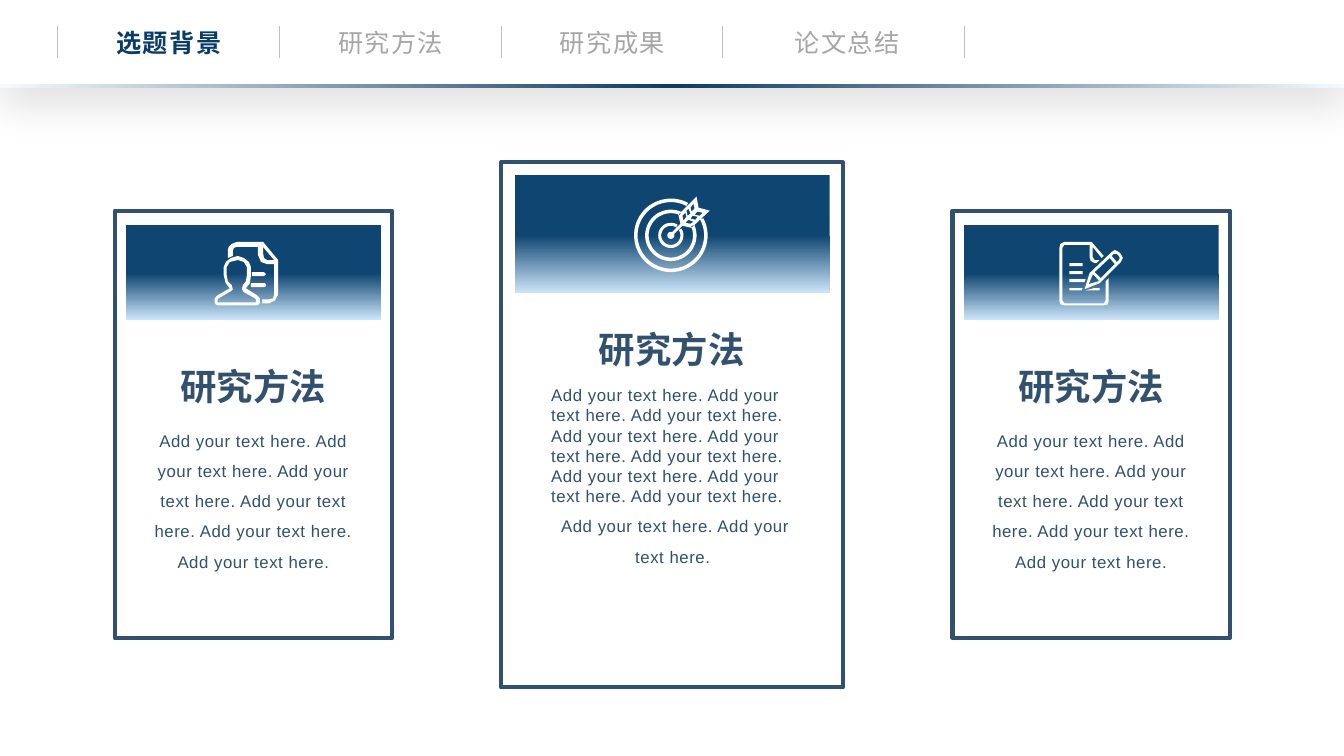
from copy import deepcopy
from dataclasses import dataclass
from math import cos, radians, sin
from typing import NamedTuple

from lxml import etree
from pptx import Presentation
from pptx.dml.color import RGBColor
from pptx.enum.shapes import MSO_CONNECTOR, MSO_SHAPE
from pptx.enum.text import MSO_ANCHOR, MSO_AUTO_SIZE, PP_ALIGN
from pptx.oxml.ns import qn
from pptx.util import Inches, Pt

RECTANGLE = MSO_SHAPE.RECTANGLE
STRAIGHT = MSO_CONNECTOR.STRAIGHT
TOP = MSO_ANCHOR.TOP
GROW = MSO_AUTO_SIZE.SHAPE_TO_FIT_TEXT
LEFT, CENTER = PP_ALIGN.LEFT, PP_ALIGN.CENTER

COLUMNS, ROWS = 133.33, 75
CELL = Inches(0.1)
ICON_DETAIL = 10
ICON_SCALE = CELL / 10 / ICON_DETAIL
FONT = "Arial"
SLATE, NAVY, WHITE, GRAY, SILVER = "31516E", "0A3C69", "FFFFFF", "A6A6A6", "BFBFBF"
BANNER_STOPS = [(0.51, "0F4571"), (1, "C9E3F8")]
RULE_STOPS = [(0, "F7FAFD"), (0.5, "0D3B61"), (1, "F4FAFF")]
SENTENCE = "Add your text here. "

Contour = list[tuple[float, float]]


class Box(NamedTuple):
    left: float
    top: float
    width: float
    height: float

    def shifted(self, columns: float) -> "Box":
        return self._replace(left=self.left + columns)

    def lengths(self) -> list[int]:
        return [round(value * CELL) for value in self]


class Paragraph(NamedTuple):
    text: str
    align: PP_ALIGN = CENTER
    spacing: float | None = None


class Icon(NamedTuple):
    left: float
    top: float
    contours: list[Contour]


class Tab(NamedTuple):
    text: str
    left: float


@dataclass
class Layout:
    frame: Box
    banner: Box
    heading: Box
    body: Box


@dataclass
class Card:
    left: float
    layout: Layout
    paragraphs: list[Paragraph]
    icon: Icon


def outlines(*rows: str) -> list[Contour]:
    return [[tuple(map(float, pair.split(","))) for pair in row.split()] for row in rows]


def arc(radius: float, start: float, end: float) -> Contour:
    angles = [radians(start + (end - start) * step / 60) for step in range(61)]
    return [(36.5 + radius * cos(angle), 38.5 + radius * sin(angle)) for angle in angles]


def ring(outer: float, inner: float, gap: float) -> Contour:
    start, end = gap - 45, 315 - gap
    return arc(outer, start, end) + arc(inner, end, start)


PERSON = Icon(9.9, 24, outlines(
    "36,41 50,41 51,43 50,45 36,45",
    "37,30 49,30 51,32 49,34 37,34",
    "48,0 22,0 17,2 14,5 13,8 13,16 18,14 18,9 19,6 22,5 43,5 43,13 46,20 52,22 59,22 59,52"
    " 58,56 54,57 47,57 47,61 54,61 60,58 63,52 63,18",
    "52,18 49,16 48,11 48,5 59,18",
    "42,53 31,46 35,41 36,33 36,25 34,20 29,16 23,14 16,16 11,20 9,25 9,33 11,41 15,46 3,53"
    " 0,56 0,60 1,62 3,63 42,63 44,62 45,60 45,56",
    "3,60 3,57 4,56 16,49 18,47 17,43 13,39 12,33 12,25 15,20 23,18 29,20 32,25 32,33 31,39"
    " 28,43 27,47 29,50 40,56 41,57 41,60"))

NOTE = Icon(10.6, 24, outlines(
    "33,5 33,15 35,18 40,18 37,21 35,21 31,19 30,15 30,3 5,3 3,6 3,58 5,61 44,61 46,58 46,39"
    " 49,36 49,58 48,62 44,63 5,63 1,62 0,58 0,6 1,2 5,0 32,0 44,14 42,16",
    "61,20 40,41 25,47 30,31 52,10 55,8 59,10 61,12 63,16",
    "29,42 39,39 39,38 33,32 33,33",
    "35,30 41,36 55,22 50,16",
    "59,14 57,12 54,12 52,14 57,20 59,18 60,16",
    "10,21 23,21 23,24 10,24",
    "10,29 23,29 23,32 10,32",
    "10,37 26,37 25,40 10,40",
    "10,46 23,46 22,48 10,48",
    "40,46 40,48 26,48 34,46"))

TARGET = Icon(13.2, 19.5, [
    ring(36.5, 33, 17), ring(25.5, 22, 21), ring(12.5, 9.5, 12), arc(3.5, 0, 360),
    *outlines(
        "75,14 57,31 48,29 40,37 38,35 46,27 44,18 62,0 64,11",
        "53,19 52,14 54,12 56,17",
        "51,16 52,20 49,24 48,19",
        "59,25 56,27 51,26 54,23",
        "61,23 56,22 58,19 63,20",
        "65,19 60,18 63,15 68,16",
        "60,12 57,15 56,11 59,7")])

SIDE = Layout(Box(0, 20.9, 27.5, 42.4), Box(1.1, 22.3, 25.3, 9.4),
              Box(1.2, 35.6, 25.1, 5.4), Box(1.9, 41.2, 23.7, 16.2))
MIDDLE = Layout(Box(0, 16.1, 33.9, 52.1), Box(1.4, 17.4, 31.2, 11.6),
                Box(4.4, 32, 25.1, 5.4), Box(4, 37.7, 26.6, 25.2))
SIDE_TEXT = [Paragraph((SENTENCE * 6).strip(), CENTER, 1.5)]
MIDDLE_TEXT = [Paragraph((SENTENCE * 9).strip(), LEFT), Paragraph(SENTENCE * 2, CENTER, 1.5)]
CARDS = [Card(11.4, SIDE, SIDE_TEXT, PERSON),
         Card(94.5, SIDE, SIDE_TEXT, NOTE),
         Card(49.7, MIDDLE, MIDDLE_TEXT, TARGET)]
ACTIVE_TAB = Tab("选题背景", 10.4)
OTHER_TABS = [Tab("研究方法", 32.4), Tab("研究成果", 54.4), Tab("论文总结", 77.7)]
DIVIDERS = [5.7 + 22 * index for index in range(4)] + [95.7]


def color(value: str) -> RGBColor:
    return RGBColor.from_string(value)


def write(shape, paragraphs: list[Paragraph], *, size: float, ink: str,
          bold: bool = False, tracking: float = 0, wrap: bool = True) -> None:
    frame = shape.text_frame
    frame.word_wrap, frame.auto_size, frame.vertical_anchor = wrap, GROW, TOP
    for index, paragraph in enumerate(paragraphs):
        para = frame.add_paragraph() if index else frame.paragraphs[0]
        para.alignment = paragraph.align
        if paragraph.spacing:
            para.line_spacing = paragraph.spacing
        span = para.add_run()
        span.text = paragraph.text
        span.font.name, span.font.size, span.font.bold = FONT, Pt(size), bold
        span.font.color.rgb = color(ink)
        span._r.get_or_add_rPr().set("spc", str(round(tracking * 100)))


def add_rectangle(page, box: Box, *, fill: str | None = None, line: str | None = None,
                  stops: list[tuple[float, str]] | None = None, angle: float = 0):
    shape = page.shapes.add_shape(RECTANGLE, *box.lengths())
    shape.shadow.inherit = False
    if stops:
        shape.fill.gradient()
        shape.fill.gradient_angle = angle
        stop_list = shape.element.spPr.find(".//" + qn("a:gsLst"))
        for _ in stops[2:]:
            stop_list.append(deepcopy(stop_list[-1]))
        for stop, (position, value) in zip(shape.fill.gradient_stops, stops):
            stop.position, stop.color.rgb = position, color(value)
    elif fill:
        shape.fill.solid()
        shape.fill.fore_color.rgb = color(fill)
    else:
        shape.fill.background()
    if line:
        shape.line.color.rgb, shape.line.width = color(line), Pt(3)
    else:
        shape.line.fill.background()
    return shape


def add_icon(page, icon: Icon, column: float) -> None:
    builder = None
    for contour in icon.contours:
        start, *rest = [(x * ICON_DETAIL, y * ICON_DETAIL) for x, y in contour]
        if builder is None:
            builder = page.shapes.build_freeform(*start, scale=ICON_SCALE)
        else:
            builder.move_to(*start)
        builder.add_line_segments(rest, close=True)
    shape = builder.convert_to_shape(round((column + icon.left) * CELL), round(icon.top * CELL))
    shape.shadow.inherit = False
    shape.fill.solid()
    shape.fill.fore_color.rgb = color(WHITE)
    shape.line.fill.background()


def add_card(page, card: Card) -> None:
    layout = card.layout
    add_rectangle(page, layout.banner.shifted(card.left), stops=BANNER_STOPS, angle=270)
    add_rectangle(page, layout.frame.shifted(card.left), line=SLATE)
    heading = page.shapes.add_textbox(*layout.heading.shifted(card.left).lengths())
    write(heading, [Paragraph("研究方法")], size=26, ink=SLATE, bold=True)
    body = page.shapes.add_textbox(*layout.body.shifted(card.left).lengths())
    write(body, card.paragraphs, size=12, ink=SLATE, tracking=0.4)
    add_icon(page, card.icon, card.left)


def add_header(page) -> None:
    bar = add_rectangle(page, Box(0, -0.1, COLUMNS, 8.7), fill=WHITE)
    effects = bar.element.spPr.find(qn("a:effectLst"))
    shadow = etree.SubElement(effects, qn("a:outerShdw"), blurRad=str(Pt(28)), dist=str(Pt(15)),
                              dir="5400000", algn="t", rotWithShape="0")
    tint = etree.SubElement(shadow, qn("a:srgbClr"), val="000000")
    etree.SubElement(tint, qn("a:alpha"), val="11000")
    for column in DIVIDERS:
        x = round(column * CELL)
        divider = page.shapes.add_connector(STRAIGHT, x, round(2.6 * CELL), x, round(5.8 * CELL))
        divider.line.color.rgb, divider.line.width = color(SILVER), Pt(0.5)
        etree.SubElement(divider.element.spPr, qn("a:effectLst"))
    title = page.shapes.title
    title.element.getparent().append(title.element)
    title.left, title.top, title.width, title.height = Box(ACTIVE_TAB.left, 2.2, 12.7, 4).lengths()
    write(title, [Paragraph(ACTIVE_TAB.text)], size=18, ink=NAVY, bold=True, tracking=1, wrap=False)
    for tab in OTHER_TABS:
        label = page.shapes.add_textbox(*Box(tab.left, 2.2, 12.7, 4).lengths())
        write(label, [Paragraph(tab.text)], size=18, ink=GRAY, tracking=1, wrap=False)
    add_rectangle(page, Box(0, 8.3, COLUMNS, 0.4), stops=RULE_STOPS)


def main() -> None:
    deck = Presentation()
    deck.slide_width, deck.slide_height = round(COLUMNS * CELL), ROWS * CELL
    page = deck.slides.add_slide(deck.slide_layouts[5])
    for card in CARDS:
        add_card(page, card)
    add_header(page)
    deck.save("out.pptx")


if __name__ == "__main__":
    main()
